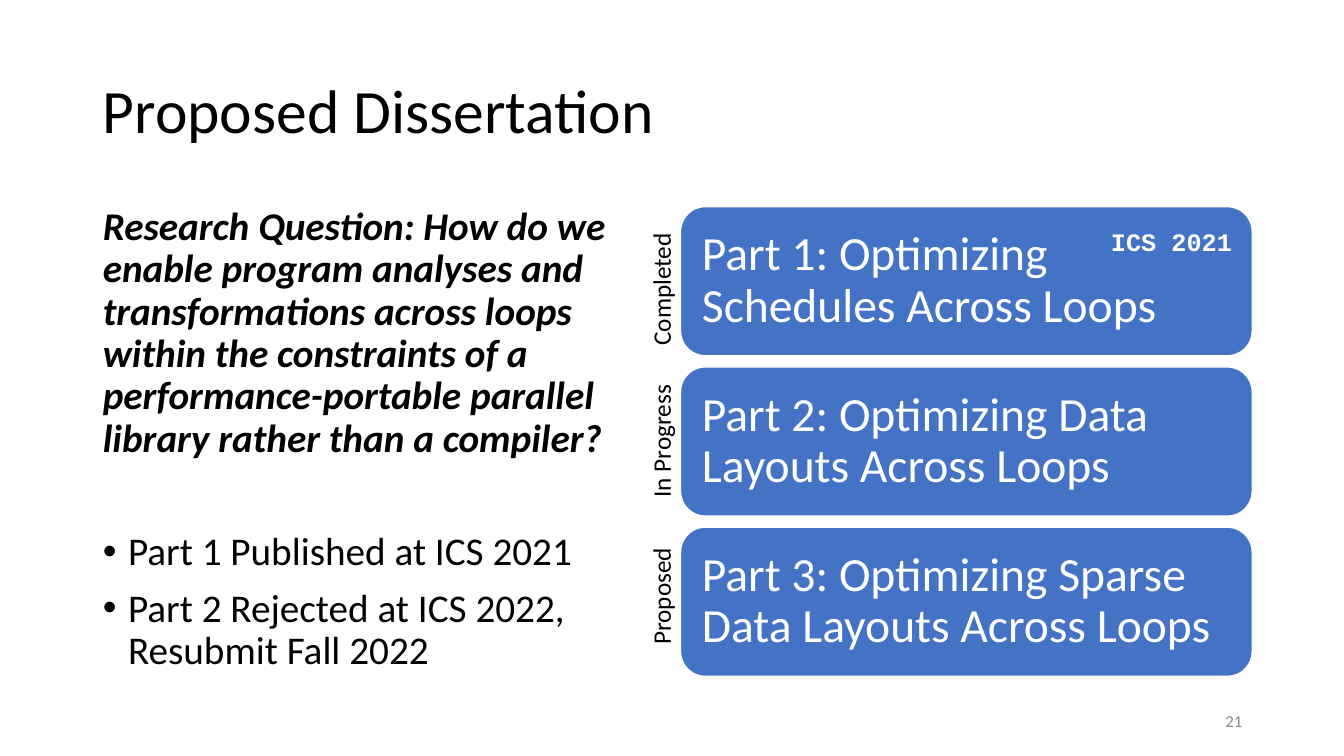
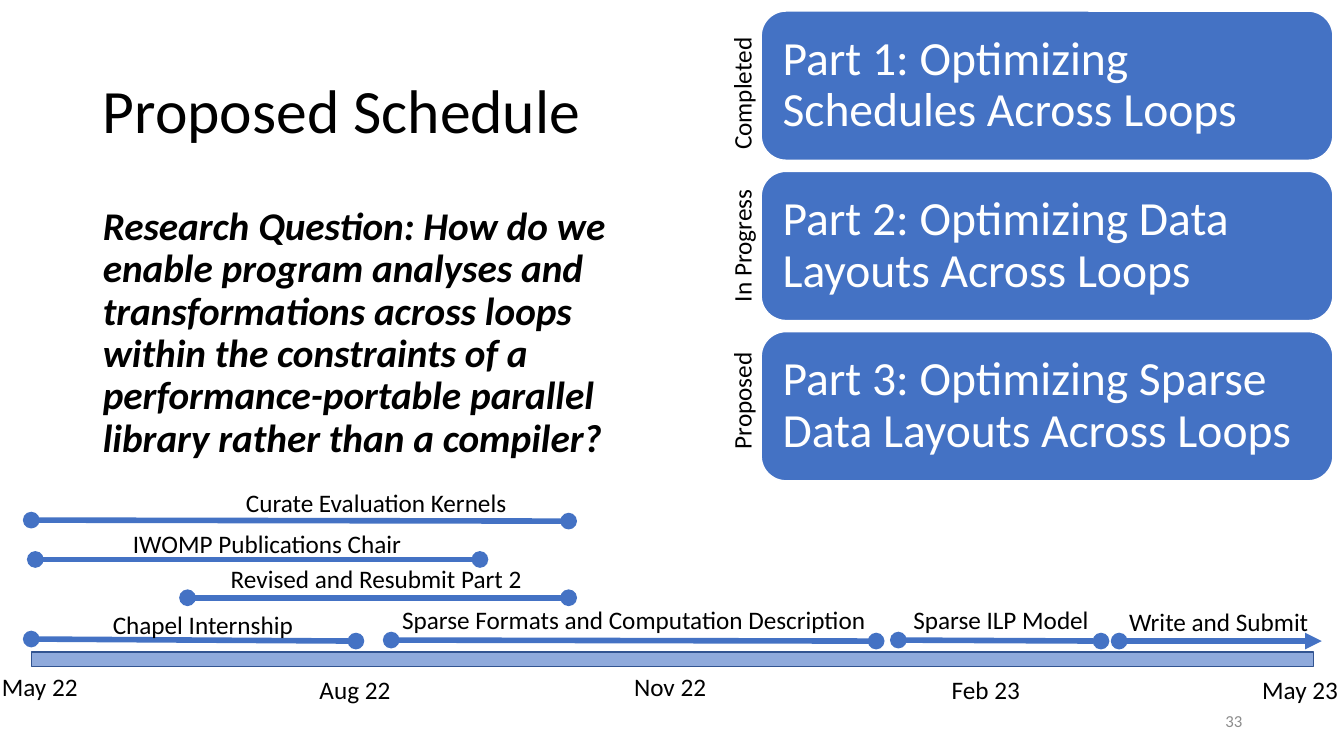
from lxml.etree import SubElement
from pptx import Presentation
from pptx.dml.color import RGBColor
from pptx.enum.shapes import MSO_CONNECTOR, MSO_SHAPE
from pptx.enum.text import MSO_ANCHOR, MSO_AUTO_SIZE, PP_ALIGN
from pptx.oxml.ns import qn
from pptx.util import Pt

PX = 9144
COLORS = {
    "black": "000000",
    "white": "FFFFFF",
    "blue": "4472C4",
    "pale": "8FAADC",
    "navy": "325491",
    "gray": "8C8C8C",
}
HUES = {name: RGBColor.from_string(code) for name, code in COLORS.items()}


def write(frame, text, size=18, color="black", font="Calibri", bold=False,
          slant=False, align=PP_ALIGN.LEFT, lead=1.0, before=0, bullet=None):
    para = frame.paragraphs[0]
    if para.runs:
        para = frame.add_paragraph()
    props = para._p.get_or_add_pPr()
    props.set("marL", str(25 * PX if bullet else 0))
    props.set("indent", str(-25 * PX if bullet else 0))
    if bullet:
        SubElement(props, qn("a:buFont"), typeface="Arial")
        SubElement(props, qn("a:buChar"), char=bullet)
    else:
        SubElement(props, qn("a:buNone"))
    para.alignment = align
    para.line_spacing = lead
    para.space_before = Pt(before)
    run = para.add_run()
    run.text = text
    run.font.name = font
    run.font.size = Pt(size)
    run.font.bold = bold
    run.font.italic = slant
    run.font.color.rgb = HUES[color]


def label(slide, text, left, top, width, wrap=False, turn=0, **style):
    box = slide.shapes.add_textbox(left * PX, top * PX, width * PX, 40 * PX)
    box.rotation = turn
    box.text_frame.word_wrap = wrap
    box.text_frame.vertical_anchor = MSO_ANCHOR.MIDDLE
    write(box.text_frame, text, **style)


QUERY = ("Research Question: How do we enable program analyses and "
         "transformations across loops within the constraints of a "
         "performance-portable parallel library rather than a compiler?")
PARTS = [
    ("Part 1: Optimizing Schedules Across Loops", "Completed", 133, 81),
    ("Part 2: Optimizing Data Layouts Across Loops", "In Progress", 133, 73),
    ("Part 3: Optimizing Sparse Data Layouts Across Loops", "Proposed", 117, 68),
]
PAGES = [
    ("Proposed Dissertation", "21", 535, 675, 205),
    ("Proposed Schedule", "33", 267, 755, 11),
]
STEP = 159

deck = Presentation()
deck.slide_width = 1333 * PX
deck.slide_height = 750 * PX
slides = []

for title, number, height, left, top in PAGES:
    slide = deck.slides.add_slide(deck.slide_layouts[1])
    slides.append(slide)
    head, body = slide.placeholders
    for holder, y, width, tall in ((head, 40, 1150, 145), (body, 200, 567, height)):
        holder.left, holder.top = 92 * PX, y * PX
        holder.width, holder.height = width * PX, tall * PX
        holder.text_frame.auto_size = MSO_AUTO_SIZE.NONE
    head.text_frame.vertical_anchor = MSO_ANCHOR.MIDDLE
    write(head.text_frame, title, size=44, lead=0.9)
    write(body.text_frame, QUERY, size=28, bold=True, slant=True, lead=0.9)

    for row, (part, state, width, mid) in enumerate(PARTS):
        y = top + row * STEP
        card = slide.shapes.add_shape(MSO_SHAPE.ROUNDED_RECTANGLE,
                                      left * PX, y * PX, 567 * PX, 148 * PX)
        card.shadow.inherit = False
        card.fill.solid()
        card.fill.fore_color.rgb = HUES["blue"]
        card.line.color.rgb = HUES["white"]
        card.line.width = Pt(1)
        frame = card.text_frame
        frame.word_wrap = True
        frame.vertical_anchor = MSO_ANCHOR.MIDDLE
        frame.margin_left = frame.margin_right = 14 * PX
        frame.margin_top = frame.margin_bottom = 14 * PX
        write(frame, part, size=34, color="white", lead=0.9)
        label(slide, state, left - 20 - width // 2, y + mid - 20, width, turn=270)

    label(slide, number, 942, 695, 300, wrap=True, size=12, color="gray",
          align=PP_ALIGN.RIGHT)

plan, dates = slides

notes = plan.placeholders[1].text_frame
write(notes, "Part 1 Published at ICS 2021", size=28, lead=0.9, before=51, bullet="•")
write(notes, "Part 2 Rejected at ICS 2022, Resubmit Fall 2022", size=28, lead=0.9,
      before=10, bullet="•")
label(plan, "ICS 2021", 1092, 220, 141, color="white", font="Courier New", bold=True)

bar = dates.shapes.add_shape(MSO_SHAPE.RECTANGLE, 31 * PX, 647 * PX, 1272 * PX, 14 * PX)
bar.shadow.inherit = False
bar.fill.solid()
bar.fill.fore_color.rgb = HUES["pale"]
bar.line.color.rgb = HUES["navy"]
bar.line.width = Pt(1)

MONTHS = [
    ("May 22", -8, 661, 96),
    ("Aug 22", 307, 664, 91),
    ("Nov 22", 619, 661, 92),
    ("Feb 23", 934, 664, 89),
    ("May 23", 1242, 664, 96),
]
for month, x, y, width in MONTHS:
    label(dates, month, x, y, width)

TASKS = [
    ("Curate Evaluation Kernels", 31, 516, 564, 517, "oval", 234, 478, 282),
    ("IWOMP Publications Chair", 35, 555, 476, 555, "oval", 122, 519, 289),
    ("Revised and Resubmit Part 2", 186, 593, 564, 593, "oval", 219, 554, 312),
    ("Chapel Internship", 31, 634, 353, 636, "oval", 102, 599, 201),
    ("Sparse Formats and Computation Description", 388, 635, 869, 636, "oval",
     389, 595, 493),
    ("Sparse ILP Model", 891, 635, 1092, 636, "oval", 896, 595, 201),
    ("Write and Submit", 1110, 636, 1311, 636, "triangle", 1110, 597, 200),
]
for task, x1, y1, x2, y2, tip, x, y, width in TASKS:
    span = dates.shapes.add_connector(MSO_CONNECTOR.STRAIGHT,
                                      x1 * PX, y1 * PX, x2 * PX, y2 * PX)
    span.line.color.rgb = HUES["blue"]
    span.line.width = Pt(4)
    line = span.line._get_or_add_ln()
    SubElement(line, qn("a:headEnd"), type="oval")
    SubElement(line, qn("a:tailEnd"), type=tip)
    SubElement(span._element.spPr, qn("a:effectLst"))
    label(dates, task, x, y, width)

deck.save("out.pptx")
